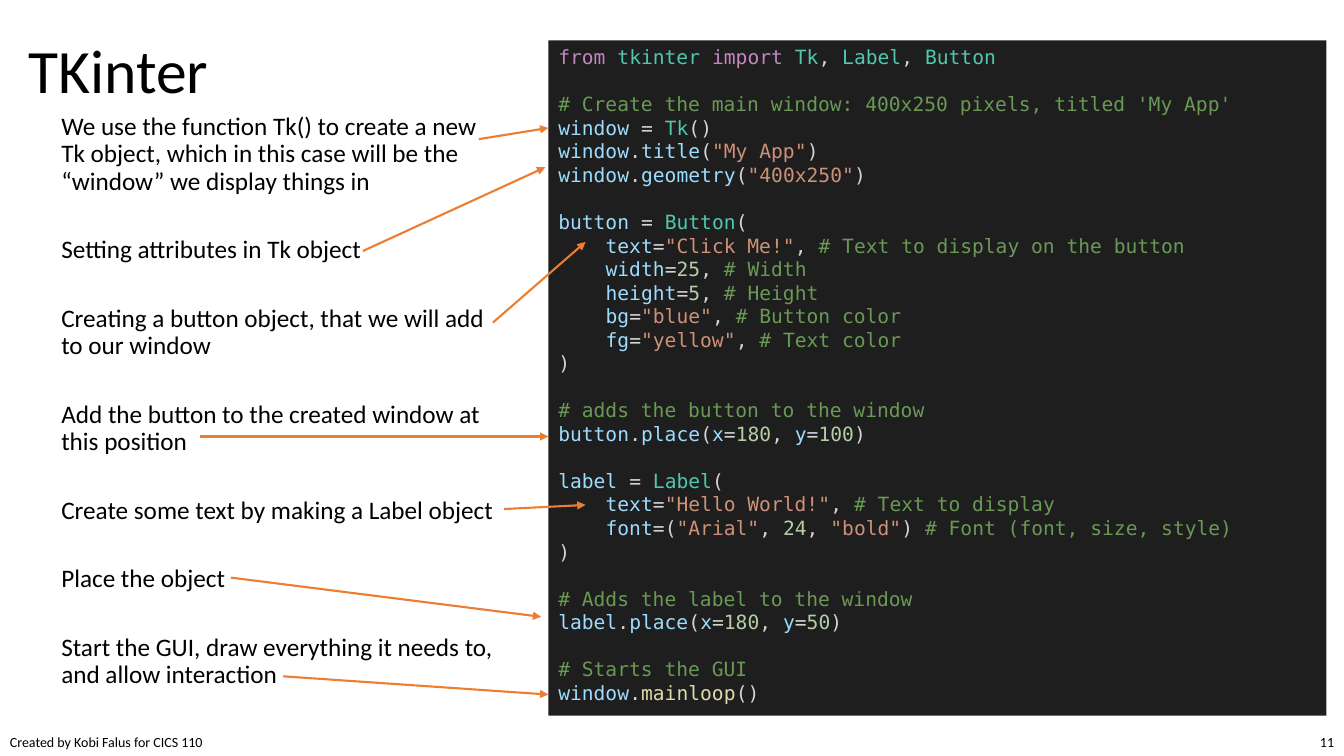
from itertools import groupby

from lxml import etree
from pptx import Presentation
from pptx.dml.color import RGBColor
from pptx.enum import shapes, text
from pptx.oxml import ns
from pptx.util import Pt

BLACK = RGBColor(0x00, 0x00, 0x00)
ORANGE = RGBColor(0xED, 0x7D, 0x31)
EDITOR = RGBColor(0x1E, 0x1E, 0x1E)
KEYWORD = RGBColor(0xC5, 0x86, 0xC0)
CLASS = RGBColor(0x4E, 0xC9, 0xB0)
FUNCTION = RGBColor(0xDC, 0xDC, 0xAA)
VARIABLE = RGBColor(0x9C, 0xDC, 0xFE)
STRING = RGBColor(0xCE, 0x91, 0x78)
NUMBER = RGBColor(0xB5, 0xCE, 0xA8)
COMMENT = RGBColor(0x6A, 0x99, 0x55)
PLAIN = RGBColor(0xD4, 0xD4, 0xD4)

WORD_COLORS = {
    "from": KEYWORD, "import": KEYWORD, "tkinter": CLASS, "Tk": CLASS,
    "Label": CLASS, "Button": CLASS, "mainloop": FUNCTION,
}

CODE = """from tkinter import Tk, Label, Button

# Create the main window: 400x250 pixels, titled 'My App'
window = Tk()
window.title("My App")
window.geometry("400x250")

button = Button(
    text="Click Me!", # Text to display on the button
    width=25, # Width
    height=5, # Height
    bg="blue", # Button color
    fg="yellow", # Text color
)

# adds the button to the window
button.place(x=180, y=100)

label = Label(
    text="Hello World!", # Text to display
    font=("Arial", 24, "bold") # Font (font, size, style)
)

# Adds the label to the window
label.place(x=180, y=50)

# Starts the GUI
window.mainloop()"""

NOTES = [
    "We use the function Tk() to create a new Tk object, which in this case "
    "will be the “window” we display things in",
    "Setting attributes in Tk object",
    "Creating a button object, that we will add to our window",
    "Add the button to the created window at this position",
    "Create some text by making a Label object",
    "Place the object",
    "Start the GUI, draw everything it needs to, and allow interaction",
]

ARROWS = [
    (342, 99.4, 391.7, 91.4),
    (259.2, 179.3, 389.5, 119.5),
    (352.1, 230.4, 418.3, 172.8),
    (142.6, 311.8, 391.7, 311.8),
    (360, 363.6, 418.3, 360.7),
    (164.9, 412.6, 386.6, 440.6),
    (202.3, 483.1, 391.7, 496.1),
]


def color_tokens(line):
    statement, mark, comment = line.partition("#")
    for index, piece in enumerate(statement.split('"')):
        if index % 2:
            yield f'"{piece}"', STRING
            continue
        for is_word, letters in groupby(piece, str.isalnum):
            token = "".join(letters)
            if token.isdigit():
                yield token, NUMBER
            else:
                yield token, WORD_COLORS.get(token, VARIABLE) if is_word else PLAIN
    if mark:
        yield mark + comment, COMMENT


class SlideBuilder:
    body_font = "Calibri"
    code_font = "DejaVu Sans Mono"
    code_size = 14
    code_line = 16.8

    def __init__(self, slide):
        self.slide = slide

    def add_run(self, paragraph, words, font, size, color):
        run = paragraph.add_run()
        run.text = words
        run.font.name = font
        run.font.size = Pt(size)
        run.font.color.rgb = color

    def text_box(self, box, paragraphs, size, align=text.PP_ALIGN.LEFT,
                 anchor=text.MSO_ANCHOR.TOP, wrap=True, spacing=1.0, gap=0):
        frame = self.slide.shapes.add_textbox(*map(Pt, box)).text_frame
        frame.word_wrap = wrap
        frame.vertical_anchor = anchor
        for index, words in enumerate(paragraphs):
            paragraph = frame.add_paragraph() if index else frame.paragraphs[0]
            paragraph.alignment = align
            paragraph.line_spacing = spacing
            if index:
                paragraph.space_before = Pt(gap)
            self.add_run(paragraph, words, self.body_font, size, BLACK)

    def code_panel(self, box, code):
        shape = self.slide.shapes.add_shape(
            shapes.MSO_SHAPE.RECTANGLE, *map(Pt, box))
        shape.shadow.inherit = False
        shape.fill.solid()
        shape.fill.fore_color.rgb = EDITOR
        shape.line.fill.background()
        frame = shape.text_frame
        frame.word_wrap = True
        frame.vertical_anchor = text.MSO_ANCHOR.TOP
        for block_index, block in enumerate(code.split("\n\n")):
            for line_index, line in enumerate(block.splitlines()):
                first = block_index == line_index == 0
                paragraph = frame.paragraphs[0] if first else frame.add_paragraph()
                paragraph.alignment = text.PP_ALIGN.LEFT
                if block_index and not line_index:
                    paragraph.space_before = Pt(self.code_line)
                for token, color in color_tokens(line):
                    self.add_run(paragraph, token, self.code_font,
                                 self.code_size, color)

    def arrow(self, ends):
        connector = self.slide.shapes.add_connector(
            shapes.MSO_CONNECTOR.STRAIGHT, *map(Pt, ends))
        connector.line.color.rgb = ORANGE
        connector.line.width = Pt(1.5)
        properties = connector.line._get_or_add_ln()
        etree.SubElement(properties, ns.qn("a:tailEnd"), type="triangle")
        etree.SubElement(connector._element.spPr, ns.qn("a:effectLst"))


def main():
    presentation = Presentation()
    presentation.slide_width = Pt(960)
    presentation.slide_height = Pt(540)
    slide = presentation.slides.add_slide(presentation.slide_layouts[6])
    builder = SlideBuilder(slide)

    builder.text_box((0, 520.6, 154.8, 19.4),
                     ["Created by Kobi Falus for CICS 110"], 10, wrap=False)
    builder.text_box((920.4, 520.6, 39.6, 19.4), ["11"], 10,
                     align=text.PP_ALIGN.RIGHT)
    builder.text_box((13, 0, 828, 104.4), ["TKinter"], 44,
                     anchor=text.MSO_ANCHOR.MIDDLE, spacing=0.9)
    builder.text_box((36.7, 77.8, 330.5, 442.1), NOTES, 18,
                     spacing=0.9, gap=29.6)
    builder.code_panel((391.7, 28.8, 555.8, 482.4), CODE)
    for ends in ARROWS:
        builder.arrow(ends)

    presentation.save("out.pptx")


if __name__ == "__main__":
    main()
